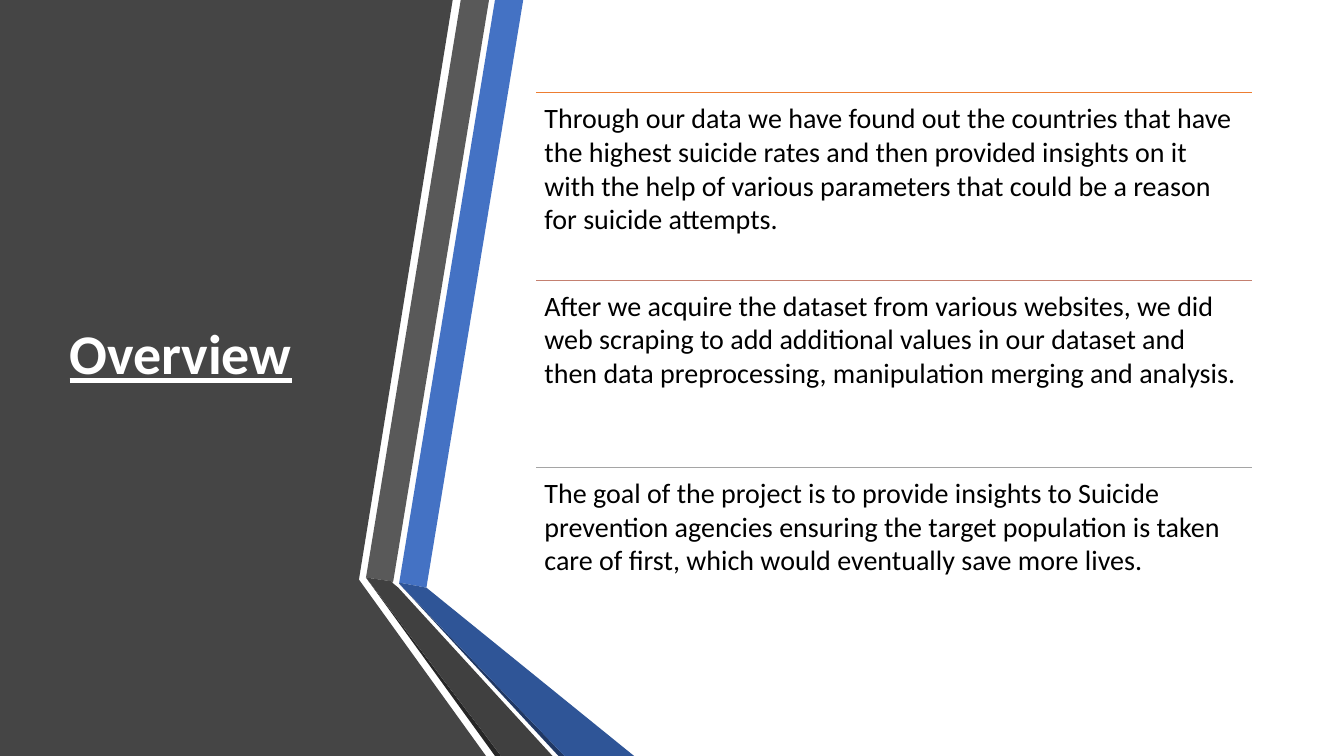
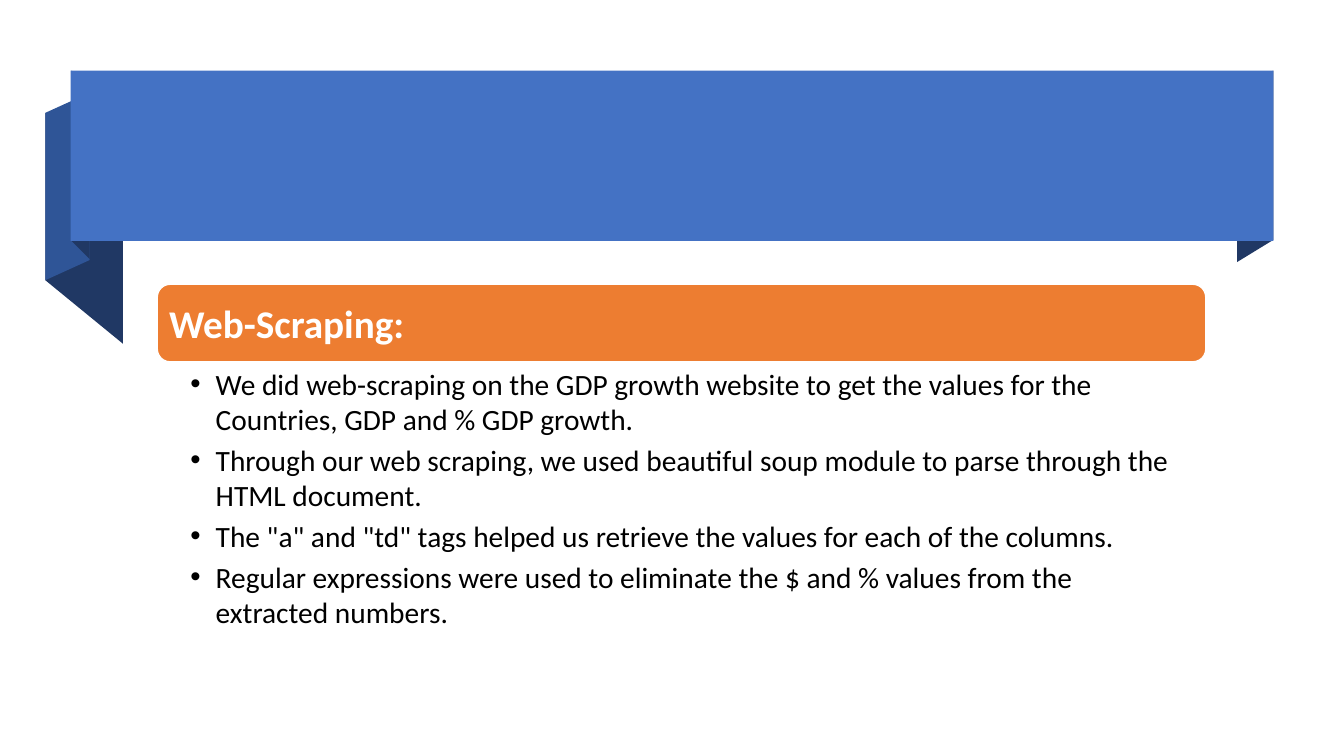
from lxml import etree
from pptx import Presentation
from pptx.dml.color import RGBColor
from pptx.enum.shapes import MSO_CONNECTOR, MSO_SHAPE
from pptx.enum.text import MSO_ANCHOR, PP_ALIGN
from pptx.oxml.ns import qn
from pptx.util import Inches, Pt

RECT, ROUND_RECT = MSO_SHAPE.RECTANGLE, MSO_SHAPE.ROUNDED_RECTANGLE
STRAIGHT = MSO_CONNECTOR.STRAIGHT
TOP, MIDDLE, LEFT = MSO_ANCHOR.TOP, MSO_ANCHOR.MIDDLE, PP_ALIGN.LEFT
TITLE_ONLY, BLANK = 5, 6

FONT = "Calibri"
WHITE, BLACK, ORANGE = "FFFFFF", "000000", "ED7D31"
BLUE, MID_BLUE, DARK_BLUE = "4472C4", "2F5597", "203864"
rgb = RGBColor.from_string

W, H = 13.33, 7.5


def polygon(s, color, points):
    """Add a closed, unlined outline through points given in inches."""
    corners = [(Inches(x), Inches(y)) for x, y in points]
    builder = s.shapes.build_freeform(*corners[0], scale=1.0)
    builder.add_line_segments(corners[1:], close=True)
    sp = builder.convert_to_shape()
    sp.shadow.inherit = False
    sp.fill.solid()
    sp.fill.fore_color.rgb = rgb(color)
    sp.line.fill.background()


def write(tf, texts, size, color, insets, anchor=TOP, after=0, bold=False):
    """Fill a text frame, one paragraph per text; insets are left, top, right, bottom."""
    tf.word_wrap = True
    tf.vertical_anchor = anchor
    tf.margin_left, tf.margin_top, tf.margin_right, tf.margin_bottom = map(Inches, insets)
    for i, text in enumerate(texts):
        p = tf.paragraphs[0] if i == 0 else tf.add_paragraph()
        p.alignment = LEFT
        p.space_after = Pt(after)
        r = p.add_run()
        r.text = text
        r.font.name, r.font.size, r.font.bold = FONT, Pt(size), bold
        r.font.color.rgb = rgb(color)


prs = Presentation()
prs.slide_width, prs.slide_height = Inches(W), Inches(H)

# Slide 1: overview
s = prs.slides.add_slide(prs.slide_layouts[TITLE_ONLY])
overview_panel = [
    ("454545", [(0, 0), (4.49, 0), (3.56, 5.75), (4.82, H), (0, H)]),
    (BLUE, [(3.96, 5.78), (4.23, 5.83), (5.19, 0), (4.91, 0)]),
    ("595959", [(4.85, 0), (4.57, 0), (3.63, 5.73), (3.9, 5.77)]),
    ("262626", [(3.63, 5.73), (4.91, H), (4.97, H)]),
    (DARK_BLUE, [(3.96, 5.79), (5.54, H), (5.6, H)]),
    (MID_BLUE, [(3.96, 5.78), (3.96, 5.79), (5.6, H), (6.29, H), (4.23, 5.83)]),
    ("404040", [(5.48, H), (3.95, 5.83), (3.89, 5.78), (3.9, 5.77), (3.63, 5.73), (4.97, H)]),
]
for color, points in overview_panel:
    polygon(s, color, points)

title = s.shapes.title
# Bring the title in front of the panel
s.shapes._spTree.append(title._element)
title.left, title.top = Inches(0.59), Inches(H / 10)
title.width, title.height = Inches(3.04), Inches(5.58)
write(title.text_frame, ["Overview"], 40, WHITE, (0.1, 0.05, 0.1, 0.05), MIDDLE, bold=True)
p = title.text_frame.paragraphs[0]
p.line_spacing = 0.9
p.runs[0].font.underline = True

ROW_LEFT, ROW_TOP, ROW_W, ROW_H = 5.32, 0.92, 7.1, 1.86
overview_rows = [
    (ORANGE, "Through our data we have found out the countries that have the highest suicide "
             "rates and then provided insights on it with the help of various parameters that "
             "could be a reason for suicide attempts."),
    ("C48070", "After we acquire the dataset from various websites, we did web scraping to add "
               "additional values in our dataset and then data preprocessing, manipulation "
               "merging and analysis."),
    ("A5A5A5", "The goal of the project is to provide insights to Suicide prevention agencies "
               "ensuring the target population is taken care of first, which would eventually "
               "save more lives."),
]
for row, (color, text) in enumerate(overview_rows):
    x, y = Inches(ROW_LEFT), Inches(ROW_TOP + row * ROW_H)
    rule = s.shapes.add_connector(STRAIGHT, x, y, x + Inches(ROW_W), y)
    rule.line.color.rgb = rgb(color)
    rule.line.width = Pt(1)
    etree.SubElement(rule._element.spPr, qn("a:effectLst"))
    box = s.shapes.add_textbox(x, y, Inches(ROW_W), Inches(ROW_H))
    write(box.text_frame, [text], 20, BLACK, [0.08] * 4)

# Slide 2: web scraping
s = prs.slides.add_slide(prs.slide_layouts[BLANK])
ribbon_folds = [
    (DARK_BLUE, [(12.63, 2.38), (12.27, 2.6), (12.27, 0.91), (12.63, 0.7)]),
    (DARK_BLUE, [(1.22, 3.41), (0.45, 2.78), (0.45, 1.12), (1.22, 1.75)]),
    (MID_BLUE, [(0.89, 2.58), (0.45, 2.78), (0.45, 1.12), (0.89, 0.92)]),
    (DARK_BLUE, [(0.89, 2.57), (0.71, 2.39), (0.71, 0.7), (0.89, 0.89)]),
]
for color, points in ribbon_folds:
    polygon(s, color, points)

LIST_LEFT, LIST_TOP, LIST_W, HEADING_H = 1.56, 2.82, 10.4, 0.77
bars = [
    (RECT, BLUE, (0.7, 0.7, 11.93, 1.69)),
    (ROUND_RECT, ORANGE, (LIST_LEFT, LIST_TOP, LIST_W, HEADING_H)),
]
for kind, color, place in bars:
    bar = s.shapes.add_shape(kind, *map(Inches, place))
    bar.shadow.inherit = False
    bar.fill.solid()
    bar.fill.fore_color.rgb = rgb(color)
    bar.line.fill.background()
heading = bar
heading.line.color.rgb = rgb(WHITE)
heading.line.width = Pt(1)
# The rounded shape insets its own text by a further 0.04 inch
write(heading.text_frame, ["Web-Scraping:"], 28, WHITE, [0.08] * 4, MIDDLE, bold=True)

scraping_steps = [
    "We did web-scraping on the GDP growth website to get the values for the Countries, "
    "GDP and % GDP growth.",
    "Through our web scraping, we used beautiful soup module to parse through the "
    "HTML document.",
    'The "a" and "td" tags helped us retrieve the values for each of the columns.',
    "Regular expressions were used to eliminate the $ and % values from the "
    "extracted numbers.",
]
box = s.shapes.add_textbox(Inches(LIST_LEFT), Inches(LIST_TOP + HEADING_H),
                           Inches(LIST_W), Inches(3.12))
write(box.text_frame, scraping_steps, 21, BLACK, (0.33, 0.04, 0.22, 0.04), after=4)
for p in box.text_frame.paragraphs:
    pPr = p._p.get_or_add_pPr()
    pPr.set("marL", str(Inches(0.25)))
    pPr.set("indent", str(-Inches(0.25)))
    etree.SubElement(pPr, qn("a:buFont"), typeface="Arial")
    etree.SubElement(pPr, qn("a:buChar"), char="•")

prs.save("out.pptx")
